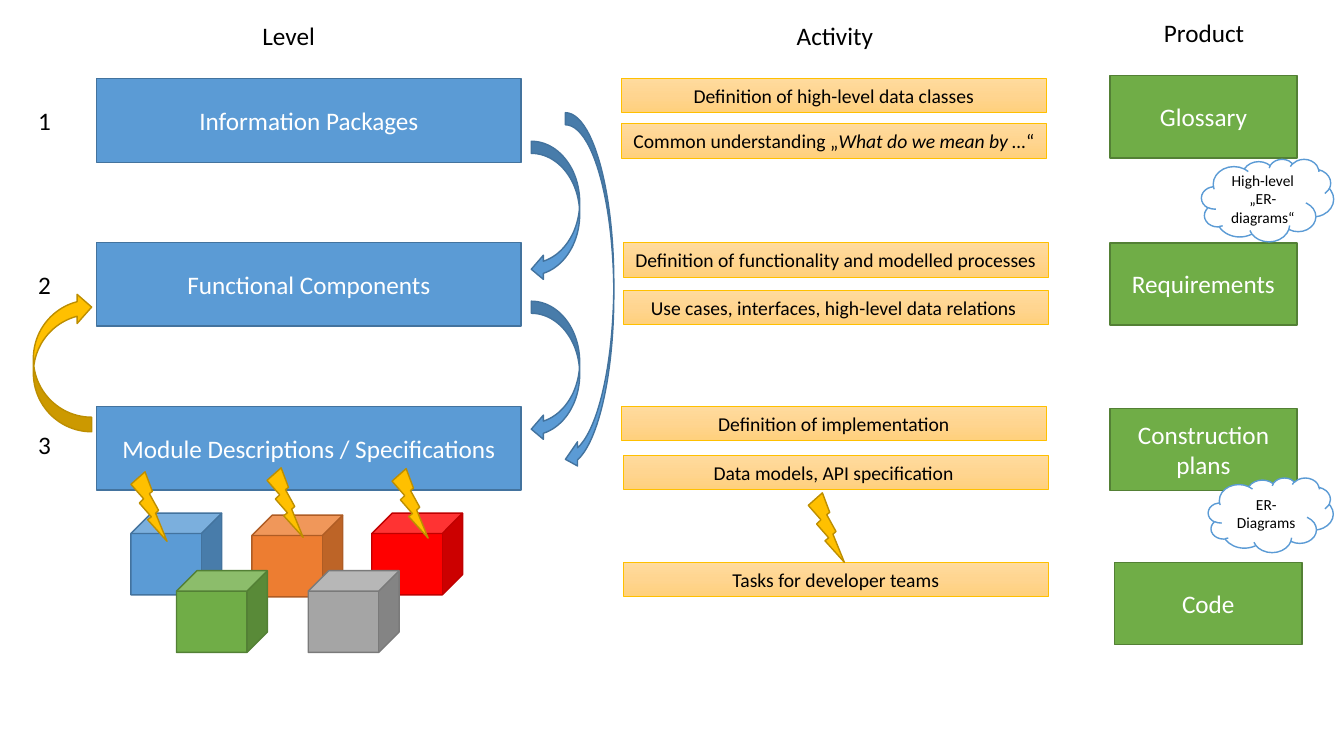
"""Build a slide of design levels with their activities and products."""
from copy import deepcopy

from pptx import Presentation
from pptx.dml.color import RGBColor
from pptx.enum.shapes import MSO_SHAPE
from pptx.enum.text import MSO_ANCHOR, MSO_AUTO_SIZE, PP_ALIGN
from pptx.util import Cm, Pt

BLUE = ("5B9BD5", "43739E")
GREEN = ("70AD47", "538035")
GOLD = ("FFC000", "BD8E00")
RED = ("FF0000", "C00000")
RUST = ("ED7D31", "AF5C24")
GREY = ("A5A5A5", "7A7A7A")
CLOUD = ("FFFFFF", "5B9BD5")
BLEND = ((0, "FFDB9E"), (0.5, "FFD590"), (1, "FFD07C"))
BLACK, WHITE = "000000", "FFFFFF"
FRAME = {"word_wrap": True, "vertical_anchor": MSO_ANCHOR.MIDDLE}
LABEL = {"word_wrap": True, "vertical_anchor": MSO_ANCHOR.TOP,
         "auto_size": MSO_AUTO_SIZE.SHAPE_TO_FIT_TEXT}
BAR_SIZE = (10.69, 0.86)
CUBE_SIZE = (2.29, 2.06)
BOLT_SIZE = (0.91, 1.75)
ROW_TOP, ROW_STEP = 1.98, 4.13


def paint(hue):
    return RGBColor.from_string(hue)


def assign(item, values):
    for name, value in values.items():
        setattr(item, name, value)


def write(shape, parts, size, hue, frame=FRAME, align=PP_ALIGN.CENTER):
    assign(shape.text_frame, frame)
    line = shape.text_frame.paragraphs[0]
    line.alignment = align
    for index, part in enumerate(parts):
        run = line.add_run()
        run.text = part
        assign(run.font, {"name": "Calibri", "size": Pt(size), "italic": index % 2 == 1})
        run.font.color.rgb = paint(hue)


def draw(slide, kind, spot, size, hues, turn=0):
    shape = slide.shapes.add_shape(kind, *map(Cm, spot + size))
    shape.shadow.inherit = False
    shape.rotation = turn
    fill, edge = hues
    shape.fill.solid()
    shape.fill.fore_color.rgb = paint(fill)
    shape.line.color.rgb = paint(edge)
    shape.line.width = Pt(1)
    return shape


def add_box(slide, text, spot, size, hues):
    box = draw(slide, MSO_SHAPE.RECTANGLE, spot, size, hues)
    write(box, [text], 18, WHITE)


def add_bar(slide, parts, spot):
    bar = draw(slide, MSO_SHAPE.RECTANGLE, spot, BAR_SIZE, GOLD[:1] * 2)
    bar.line.width = Pt(0.5)
    bar.fill.gradient()
    bar.fill.gradient_angle = 270
    stops = bar._element.xpath(".//a:gsLst")[0]
    stops.insert(1, deepcopy(stops[0]))
    for stop, (place, hue) in zip(bar.fill.gradient_stops, BLEND):
        stop.position = place
        stop.color.rgb = paint(hue)
    write(bar, parts, 14, BLACK)


def add_cloud(slide, text, spot, size):
    cloud = draw(slide, MSO_SHAPE.CLOUD, spot, size, CLOUD)
    write(cloud, [text], 11, BLACK)


def add_label(slide, text, spot, width, align=PP_ALIGN.CENTER):
    label = slide.shapes.add_textbox(*map(Cm, spot + (width, 1.02)))
    write(label, [text], 18, BLACK, LABEL, align)


def add_levels(slide):
    names = ("Information Packages", "Functional Components",
             "Module Descriptions / Specifications")
    for row, name in enumerate(names):
        add_box(slide, name, (2.44, ROW_TOP + row * ROW_STEP), (10.69, 2.11), BLUE)
    for left, top, tall in ((13.39, 3.56, 3.53), (13.39, 7.59, 3.53), (14.25, 2.84, 9.04)):
        draw(slide, MSO_SHAPE.CURVED_LEFT_ARROW, (left, top), (1.22, tall), BLUE)
    for row, top in enumerate((2.54, 6.65, 10.69), 1):
        add_label(slide, str(row), (0.71, top), 1.75, PP_ALIGN.LEFT)


def add_blocks(slide):
    cubes = ((3.3, 12.93, BLUE), (9.37, 12.93, RED), (6.35, 12.98, RUST),
             (4.45, 14.38, GREEN), (7.77, 14.38, GREY))
    for left, top, hues in cubes:
        draw(slide, MSO_SHAPE.CUBE, (left, top), CUBE_SIZE, hues)
    for spot in ((3.3, 11.89), (6.73, 11.79), (9.88, 11.81), (20.37, 12.42)):
        draw(slide, MSO_SHAPE.LIGHTNING_BOLT, spot, BOLT_SIZE, GOLD)


def add_tasks(slide):
    bars = (
        (15.67, 1.98, ["Definition of high-level data classes"]),
        (15.67, 3.12, ["Common understanding „", "What do we mean by …", "“"]),
        (15.72, 6.12, ["Definition of functionality and modelled processes"]),
        (15.72, 7.32, ["Use cases, interfaces, high-level data relations "]),
        (15.67, 10.24, ["Definition of implementation"]),
        (15.72, 11.48, ["Data models, API specification "]),
        (15.72, 14.17, ["Tasks for developer teams"]),
    )
    for left, top, parts in bars:
        add_bar(slide, parts, (left, top))


def add_products(slide):
    boxes = (("Glossary", 27.97, 1.91), ("Requirements", 27.97, 6.12),
             ("Construction plans", 27.97, 10.29), ("Code", 28.09, 14.17))
    for name, left, top in boxes:
        add_box(slide, name, (left, top), (4.72, 2.07), GREEN)
    add_cloud(slide, "ER-Diagrams", (30.45, 12.04), (3.15, 1.88))
    add_cloud(slide, "High-level „ER-diagrams“", (30.28, 4.01), (3.33, 2.08))


def main():
    deck = Presentation()
    assign(deck, {"slide_width": Cm(33.87), "slide_height": Cm(19.05)})
    slide = deck.slides.add_slide(deck.slide_layouts[6])
    add_levels(slide)
    add_tasks(slide)
    add_products(slide)
    add_blocks(slide)
    draw(slide, MSO_SHAPE.CURVED_LEFT_ARROW, (0.84, 7.37), (1.47, 3.51), GOLD, 180)
    add_label(slide, "Product", (26.37, 0.3), 7.95)
    add_label(slide, "Level", (3.3, 0.38), 7.95)
    add_label(slide, "Activity", (15.72, 0.38), 10.64)
    deck.save("out.pptx")


main()
